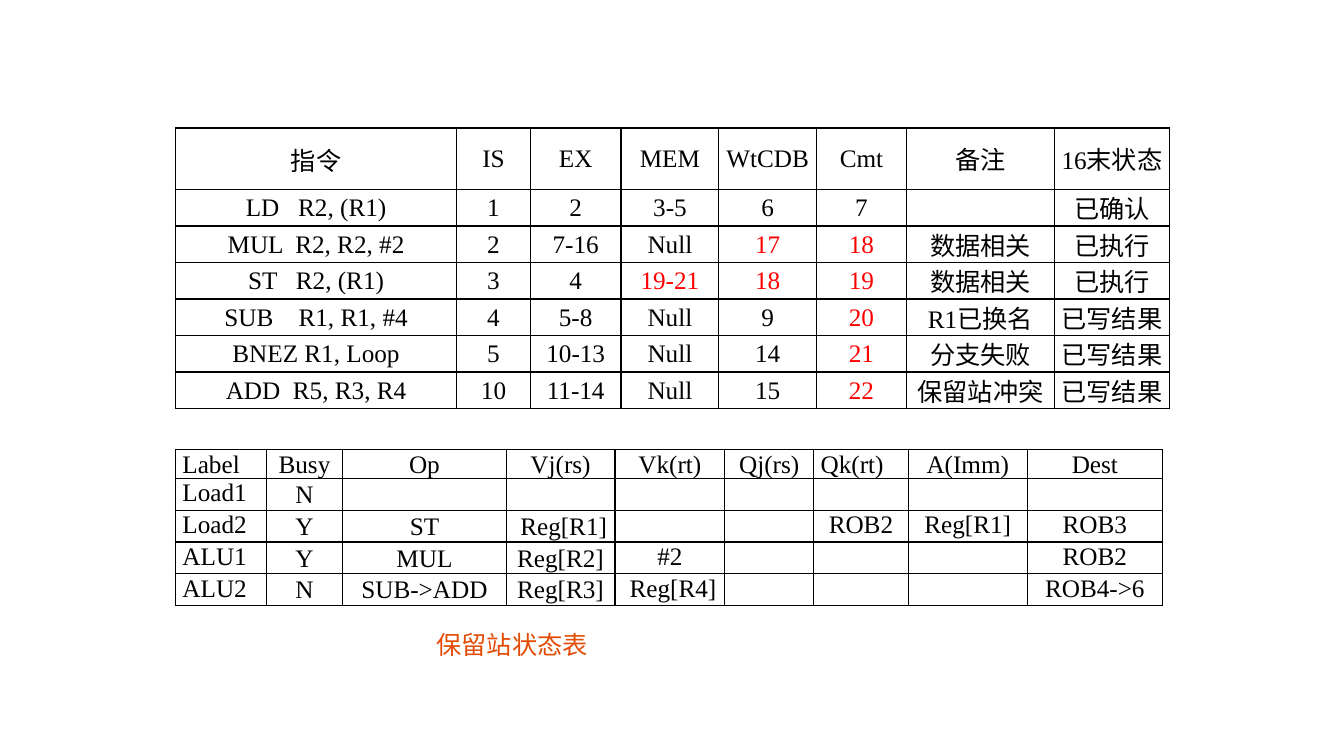
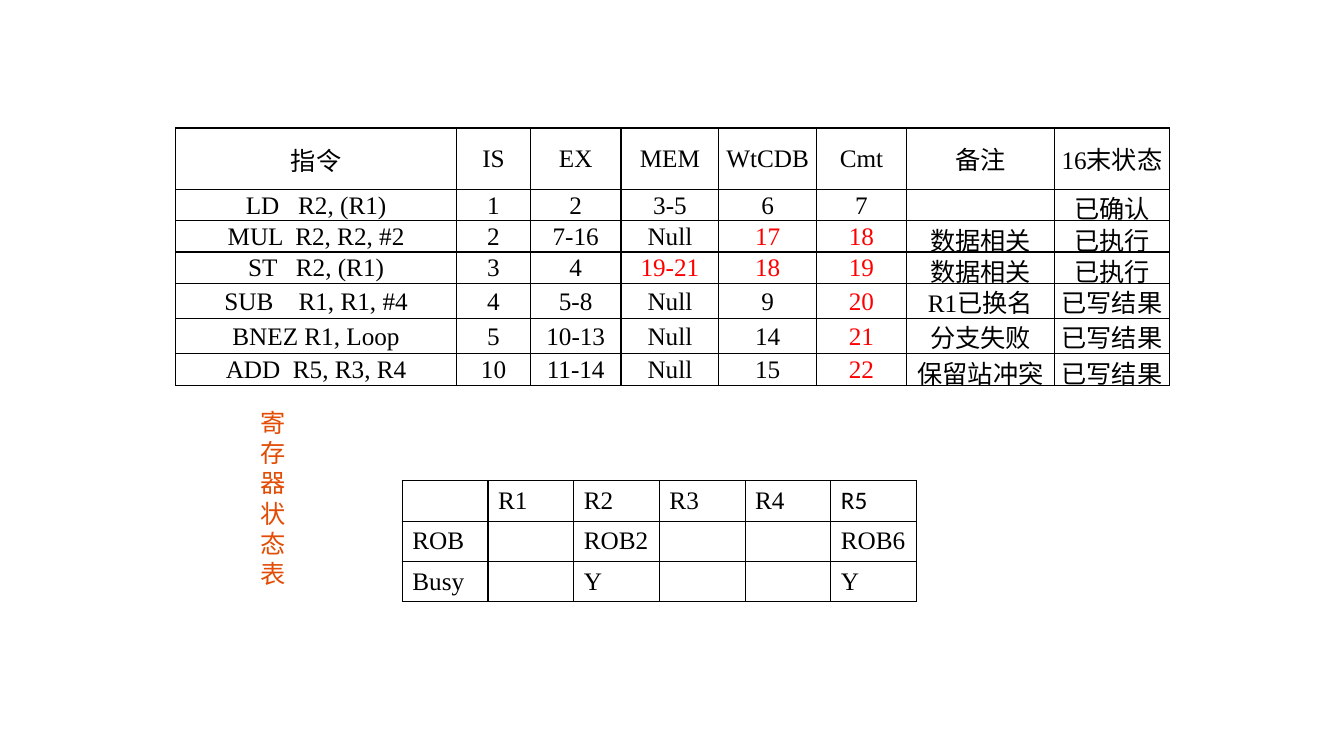
from dataclasses import dataclass
from typing import Callable

from pptx import Presentation
from pptx.dml.color import RGBColor
from pptx.enum.text import MSO_ANCHOR, MSO_AUTO_SIZE, PP_ALIGN
from pptx.oxml.ns import qn
from pptx.util import Inches, Pt
from lxml.etree import SubElement

GRID_COLS, GRID_ROWS = 1333, 750


def g(units: float) -> int:
    return Inches(units / 100)


@dataclass(frozen=True)
class Theme:
    ink: str = "000000"
    late: str = "FF0000"
    accent: str = "E24C05"
    latin: str = "Times New Roman"
    cjk: str = "Noto Sans CJK SC"
    plain: str = "Calibri"
    size: float = 18
    rule: float = 1


T = Theme()


@dataclass(frozen=True)
class Look:
    align: PP_ALIGN = PP_ALIGN.CENTER
    anchor: MSO_ANCHOR = MSO_ANCHOR.MIDDLE
    insets: tuple[float, float, float, float] = (7, 1, 7, 0)
    color: str = T.ink
    font: str = T.latin


@dataclass(frozen=True)
class Grid:
    left: int
    top: int
    cols: tuple[int, ...]
    rows: tuple[int, ...]
    text: tuple[tuple[str, ...], ...]
    look: Callable[[int, int, str], Look]


@dataclass(frozen=True)
class Caption:
    text: str
    left: int
    top: int
    width: int
    height: int


def issue_look(row: int, col: int, text: str) -> Look:
    end = text.split("-")[-1]
    late = row > 0 and 2 <= col <= 5 and end.isdigit() and int(end) > 16
    side = 8 if col == 0 else 7
    insets = (0, 0, 0, 0) if col > 5 else (side, 1, side, 0)
    return Look(insets=insets, color=T.late if late else T.ink)


def station_look(row: int, col: int, text: str) -> Look:
    justified = col == 0 or (row, col) == (0, 6)
    top = row > 0 and (col == 0 or col > 3)
    return Look(align=PP_ALIGN.JUSTIFY if justified else PP_ALIGN.CENTER,
                anchor=MSO_ANCHOR.TOP if top else MSO_ANCHOR.MIDDLE)


def register_look(row: int, col: int, text: str) -> Look:
    return Look(align=PP_ALIGN.JUSTIFY, insets=(10, 5, 10, 5),
                font=T.plain if text == "R5" else T.latin)


ISSUE = Grid(174, 127, (279, 73, 90, 97, 97, 89, 147, 114),
             (61, 31, 31, 31, 35, 35, 31), (
    ("指令", "IS", "EX", "MEM", "WtCDB", "Cmt", "备注", "16末状态"),
    ("LD   R2, (R1)", "1", "2", "3-5", "6", "7", "", "已确认"),
    ("MUL  R2, R2, #2", "2", "7-16", "Null", "17", "18", "数据相关", "已执行"),
    ("ST   R2, (R1)", "3", "4", "19-21", "18", "19", "数据相关", "已执行"),
    ("SUB    R1, R1, #4", "4", "5-8", "Null", "9", "20", "R1已换名", "已写结果"),
    ("BNEZ R1, Loop", "5", "10-13", "Null", "14", "21", "分支失败", "已写结果"),
    ("ADD  R5, R3, R4", "10", "11-14", "Null", "15", "22", "保留站冲突", "已写结果"),
), issue_look)

STATIONS = Grid(174, 446, (90, 76, 162, 108, 109, 88, 94, 118, 134),
                (28, 31, 31, 28, 29), (
    ("Label", "Busy", "Op", "Vj(rs)", "Vk(rt)", "Qj(rs)", "Qk(rt)", "A(Imm)", "Dest"),
    ("Load1", "N", "", "", "", "", "", "", ""),
    ("Load2", "Y", "ST", " Reg[R1]", "", "", "ROB2", "Reg[R1]", "ROB3"),
    ("ALU1", "Y", "MUL", "Reg[R2]", "#2", "", "", "", "ROB2"),
    ("ALU2", "N", "SUB->ADD", "Reg[R3]", " Reg[R4]", "", "", "", "ROB4->6"),
), station_look)

REGISTERS = Grid(399, 477, (85,) * 6, (40,) * 3, (
    ("", "R1", "R2", "R3", "R4", "R5"),
    ("ROB", "", "ROB2", "", "", "ROB6"),
    ("Busy", "", "Y", "", "", "Y"),
), register_look)

SLIDES = (
    (ISSUE, STATIONS, Caption("保留站状态表", 423, 619, 378, 40)),
    (REGISTERS, Caption("寄存器状态表", 249, 399, 59, 192), ISSUE),
)


def assign(target, values: dict) -> None:
    for name, value in values.items():
        setattr(target, name, value)


def write(p, text: str, font: str, color: str) -> None:
    if not text:
        SubElement(p._p, qn("a:endParaRPr"), sz=str(int(T.size * 100)))
        return
    r = p.add_run()
    r.text = text
    assign(r.font, {"name": font, "size": Pt(T.size)})
    r.font.color.rgb = RGBColor.from_string(color)
    SubElement(r._r.get_or_add_rPr(), qn("a:ea"), typeface=T.cjk)


def add_borders(cell) -> None:
    tc_pr = cell._tc.get_or_add_tcPr()
    for i, side in enumerate(("lnL", "lnR", "lnT", "lnB")):
        ln = tc_pr.makeelement(qn(f"a:{side}"), {"w": str(Pt(T.rule))})
        SubElement(SubElement(ln, qn("a:solidFill")), qn("a:srgbClr"), val=T.ink)
        tc_pr.insert(i, ln)


def add_grid(s, grid: Grid) -> None:
    table = s.shapes.add_table(len(grid.rows), len(grid.cols), g(grid.left), g(grid.top),
                               g(sum(grid.cols)), g(sum(grid.rows))).table
    assign(table, {"first_row": False, "horz_banding": False})
    for column, width in zip(table.columns, grid.cols):
        column.width = g(width)
    for i, (height, texts) in enumerate(zip(grid.rows, grid.text)):
        table.rows[i].height = g(height)
        for j, text in enumerate(texts):
            cell, look = table.cell(i, j), grid.look(i, j, text)
            left, top, right, bottom = map(g, look.insets)
            assign(cell, {"margin_left": left, "margin_top": top, "margin_right": right,
                          "margin_bottom": bottom, "vertical_anchor": look.anchor})
            cell.fill.background()
            add_borders(cell)
            p = cell.text_frame.paragraphs[0]
            p.alignment = look.align
            write(p, text, look.font, look.color)


def add_caption(s, c: Caption) -> None:
    tf = s.shapes.add_textbox(g(c.left), g(c.top), g(c.width), g(c.height)).text_frame
    assign(tf, {"word_wrap": True, "auto_size": MSO_AUTO_SIZE.SHAPE_TO_FIT_TEXT})
    p = tf.paragraphs[0]
    p.line_spacing = Pt(T.size * 1.2)
    write(p, c.text, T.cjk, T.accent)


def main() -> None:
    prs = Presentation()
    assign(prs, {"slide_width": g(GRID_COLS), "slide_height": g(GRID_ROWS)})
    for items in SLIDES:
        s = prs.slides.add_slide(prs.slide_layouts[6])
        for item in items:
            if isinstance(item, Grid):
                add_grid(s, item)
            else:
                add_caption(s, item)
    prs.save("out.pptx")


if __name__ == "__main__":
    main()
